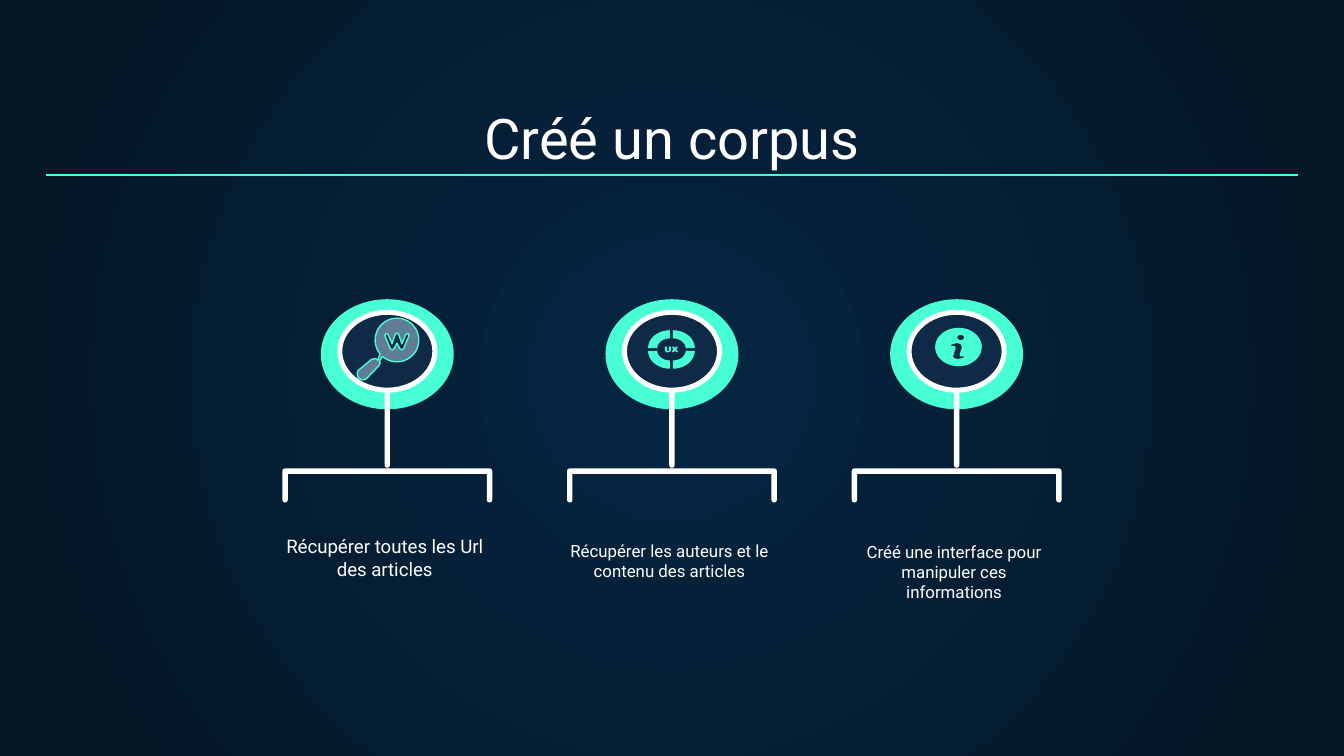
from dataclasses import dataclass
from math import cos, radians, sin

from lxml import etree
from pptx import Presentation
from pptx import util as u
from pptx.dml.color import RGBColor
from pptx.enum import shapes, text
from pptx.oxml import parse_xml
from pptx.oxml.ns import nsdecls, qn


@dataclass(frozen=True)
class Theme:
    font: str = "Roboto"
    white: str = "FFFFFF"
    mint: str = "48FFD5"
    navy: str = "0E2A47"
    slate: str = "5F7D95"
    glow: str = "052643"
    night: str = "041523"
    title: float = 30
    rule: float = 0.75


THEME = Theme()
PITCH = 152.5
STEPS = [
    ("Récupérer toutes les Url des articles", 10, 279.5),
    ("Récupérer les auteurs et le contenu des articles", 9, 282.3),
    ("Créé une interface pour manipuler ces informations", 9, 283),
]


def color(value):
    return RGBColor.from_string(value)


def paint_background(page):
    fill = page.background.fill
    fill.gradient()
    for stop, value in zip(fill.gradient_stops, (THEME.glow, THEME.night)):
        stop.color.rgb = color(value)
    gradient = page.background._cSld.find(".//" + qn("a:gradFill"))
    gradient.remove(gradient.find(qn("a:lin")))
    gradient.append(parse_xml(
        f'<a:path {nsdecls("a")} path="circle">'
        '<a:fillToRect l="50000" t="50000" r="50000" b="50000"/></a:path>'))


def add_text(page, content, left, top, width, height, *, size, inset=0,
             anchor=text.MSO_ANCHOR.TOP):
    box = page.shapes.add_textbox(*map(u.Pt, (left, top, width, height)))
    frame = box.text_frame
    frame.word_wrap = True
    frame.vertical_anchor = anchor
    frame.margin_left = frame.margin_right = u.Pt(inset)
    frame.margin_top = frame.margin_bottom = u.Pt(7.2)
    para = frame.paragraphs[0]
    para.alignment = text.PP_ALIGN.CENTER
    span = para.add_run()
    span.text = content
    span.font.name = THEME.font
    span.font.size = u.Pt(size)
    span.font.color.rgb = color(THEME.white)


def style(shape, fill, line=None):
    shape.shadow.inherit = False
    shape.fill.solid()
    shape.fill.fore_color.rgb = color(fill)
    if line:
        shape.line.color.rgb = color(line)
        shape.line.width = u.Pt(THEME.rule)
    else:
        shape.line.fill.background()


def add_preset(page, kind, center, top, width, height, fill, adjust=None):
    shape = page.shapes.add_shape(
        kind, *map(u.Pt, (center - width / 2, top, width, height)))
    if adjust is not None:
        shape.adjustments[0] = adjust
    style(shape, fill)


def add_outline(page, contours, fill, line=None):
    scaled = [[(u.Pt(x), u.Pt(y)) for x, y in points] for points in contours]
    builder = page.shapes.build_freeform(*scaled[0][0])
    for index, points in enumerate(scaled):
        if index:
            builder.move_to(*points[0])
        builder.add_line_segments(points[1:], close=True)
    style(builder.convert_to_shape(), fill, line)


def add_rule(page, left, right, y):
    rule = page.shapes.add_connector(
        shapes.MSO_CONNECTOR.STRAIGHT, *map(u.Pt, (left, y, right, y)))
    rule.line.color.rgb = color(THEME.mint)
    rule.line.width = u.Pt(THEME.rule)
    etree.SubElement(rule._element.spPr, qn("a:effectLst"))


def arc(x, y, rx, ry, start=0, end=360, steps=40):
    angles = [radians(start + (end - start) * i / steps) for i in range(steps + 1)]
    return [(x + rx * cos(a), y + ry * sin(a)) for a in angles]


def add_bracket(page, center):
    half, top, bottom, r = 56.2, 251, 269.2, 1.45
    left, right = center - half, center + half
    points = (
        arc(left + r, top + r, r, r, 270, 180, 6)
        + arc(left + r, bottom - r, r, r, 180, 0, 8)
        + [(left + 2 * r, top + 2 * r), (right - 2 * r, top + 2 * r)]
        + arc(right - r, bottom - r, r, r, 180, 0, 8)
        + arc(right - r, top + r, r, r, 0, -90, 6))
    add_outline(page, [points], THEME.white)


def add_badge(page, center):
    preset = shapes.MSO_SHAPE
    add_bracket(page, center)
    add_preset(page, preset.OVAL, center, 160.3, 71.2, 59, THEME.mint)
    add_preset(page, preset.ROUNDED_RECTANGLE, center, 191, 2.9, 59.6, THEME.white, 0.5)
    add_preset(page, preset.OVAL, center, 167, 51, 42, THEME.navy)
    add_preset(page, preset.DONUT, center, 166, 53.6, 44.4, THEME.white, 0.06)


def add_magnifier(page, x, y):
    lens = arc(x, y, 11.7, 11.7, 141, 491)
    handle = ([(x - 10.2, y + 10.8), (x - 11.5, y + 9.9), (x - 13.7, y + 10.4)]
              + arc(x - 18.2, y + 18.2, 3.1, 3.1, 225, 45, 12)
              + [(x - 9.6, y + 13.7), (x - 9, y + 12.2), (x - 9.4, y + 11.2)])
    left = [(0, 1.9), (-1.6, 5.2), (-2.6, 5.9), (-3.6, 5.2), (-6.5, -2.7),
            (-6, -3.9), (-4.8, -3.5), (-2.6, 2.2), (-0.9, -3.5), (0, -4.1)]
    letter = left + [(-dx, dy) for dx, dy in reversed(left[1:-1])]
    add_outline(page, [lens + handle[::-1], [(x + dx, y + dy * 0.9) for dx, dy in letter]],
                THEME.slate, THEME.mint)


def add_target(page, x, y):
    for start, sx, sy in ((0, 1, 1), (90, -1, 1), (180, -1, -1), (270, 1, -1)):
        cx, cy = x + sx * 0.8, y + sy * 0.7
        add_outline(page, [arc(cx, cy, 11.7, 9.6, start, start + 90, 12)
                           + arc(cx, cy, 6.8, 5.2, start + 90, start, 12)], THEME.mint)
    letter_u = ([(-3.5, -1.5), (-2.5, -1.5)] + arc(-1.9, 0.3, 0.6, 0.6, 180, 0, 6)
                + [(-1.3, -1.5), (-0.3, -1.5)] + arc(-1.9, 0.2, 1.6, 1.4, 0, 180, 10))
    letter_x = [(0.1, -1.5), (1.3, -1.5), (1.9, -0.7), (2.5, -1.5), (3.6, -1.5),
                (2.5, 0), (3.7, 1.5), (2.5, 1.5), (1.9, 0.7), (1.2, 1.5), (0, 1.5), (1.2, 0)]
    for letter in (letter_u, letter_x):
        add_outline(page, [[(x + dx, y + dy) for dx, dy in letter]], THEME.mint)


def add_info(page, x, y):
    stem = [(-3.9, -1.2), (-0.8, -2.2), (1.2, -1.5), (1.9, 0), (0.6, 3.9), (0.8, 5),
            (2.8, 5), (2.8, 5.7), (0, 6.5), (-2.2, 6), (-2.9, 5), (-1.5, 0.5),
            (-1.9, -0.6), (-3.9, -0.6)]
    add_outline(page, [arc(x, y, 12.5, 10.3), arc(x + 1.2, y - 5.1, 1.8, 1.4, steps=16),
                       [(x + dx, y + dy) for dx, dy in stem]], THEME.mint)


def main():
    deck = Presentation()
    deck.slide_width, deck.slide_height = u.Pt(720), u.Pt(405)
    page = deck.slides.add_slide(deck.slide_layouts[6])
    paint_background(page)
    add_text(page, "Créé un corpus", 24.5, 59, 671, 39.6, size=THEME.title,
             inset=7.2, anchor=text.MSO_ANCHOR.BOTTOM)
    for index, (content, size, top) in enumerate(STEPS):
        center = 360 + PITCH * (index - 1)
        add_badge(page, center)
        add_text(page, content, center - 56.2, top, 109.5, 32.4, size=size)
    add_target(page, 359.7, 187.2)
    add_info(page, 513.5, 185.9)
    add_rule(page, 24.5, 695.5, 93.7)
    add_magnifier(page, 212.7, 182.2)
    deck.save("out.pptx")


main()
